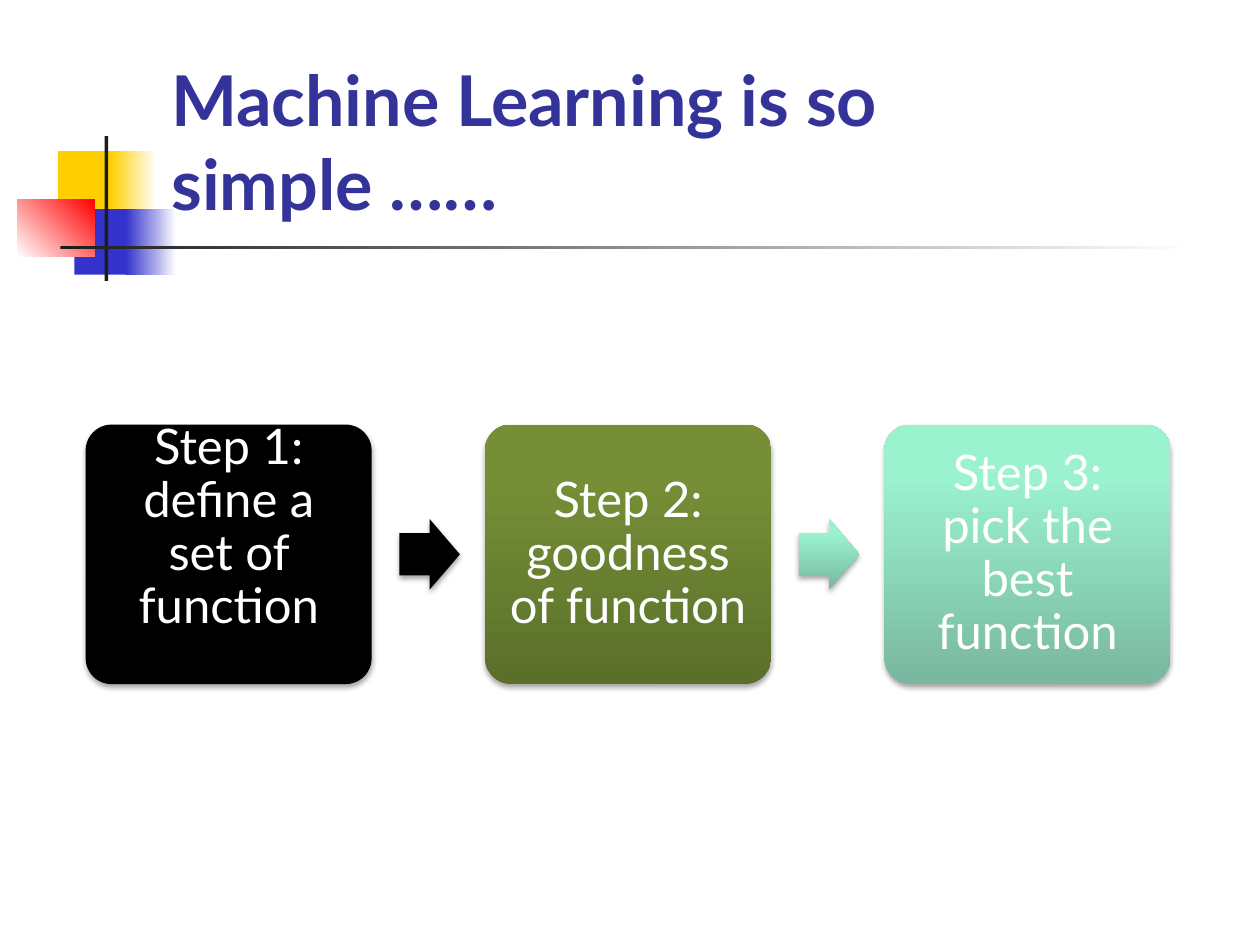
from dataclasses import dataclass

from lxml import etree
from pptx import Presentation
from pptx.dml.color import RGBColor
from pptx.enum.shapes import MSO_SHAPE
from pptx.enum.text import MSO_ANCHOR, MSO_AUTO_SIZE, PP_ALIGN
from pptx.oxml.ns import qn
from pptx.util import Inches, Pt

RECT = MSO_SHAPE.RECTANGLE
ROUND = MSO_SHAPE.ROUNDED_RECTANGLE
ARROW = MSO_SHAPE.RIGHT_ARROW
LEFT, CENTER = PP_ALIGN.LEFT, PP_ALIGN.CENTER
MIDDLE, BOTTOM = MSO_ANCHOR.MIDDLE, MSO_ANCHOR.BOTTOM
NO_FIT = MSO_AUTO_SIZE.NONE


@dataclass(frozen=True)
class Theme:
    font: str = "Lato"
    title: str = "333399"
    white: str = "FFFFFF"
    black: str = "000000"
    ink: str = "1C1C1C"
    yellow: str = "FFCF01"
    blue: str = "3333CC"
    red: str = "FF0000"
    green: tuple = ("5B6F2A", "768F36")
    mint: tuple = ("79B79F", "9AF2CF")
    head: int = 40
    body: int = 28


def write(frame, text, size, color, align, anchor, bold=False, inset=None, lead=1.0):
    frame.word_wrap = True
    frame.auto_size = NO_FIT
    frame.vertical_anchor = anchor
    if inset is not None:
        frame.margin_left = frame.margin_right = Inches(inset)
        frame.margin_top = frame.margin_bottom = Inches(inset)
    frame.text = text
    para = frame.paragraphs[0]
    para.alignment = align
    para.line_spacing = lead
    font = para.runs[0].font
    font.name = Theme.font
    font.size = Pt(size)
    font.bold = bold
    font.color.rgb = RGBColor.from_string(color)


class Deck:
    def __init__(self, slide, theme):
        self.slide = slide
        self.theme = theme

    def shape(self, kind, box, fill, angle=0, end=1, adjust=(), shade=False):
        shape = self.slide.shapes.add_shape(kind, *map(Inches, box))
        for i, value in enumerate(adjust):
            shape.adjustments[i] = value
        if isinstance(fill, str):
            shape.fill.solid()
            shape.fill.fore_color.rgb = RGBColor.from_string(fill)
        else:
            shape.fill.gradient()
            shape.fill.gradient_angle = angle
            for stop, color, place in zip(shape.fill.gradient_stops, fill, (0, end)):
                stop.color.rgb = RGBColor.from_string(color)
                stop.position = place
        shape.line.fill.background()
        shape.shadow.inherit = False
        if shade:
            self.shadow(shape)

    def shadow(self, shape):
        effects = shape._element.spPr.find(qn("a:effectLst"))
        outer = etree.SubElement(
            effects, qn("a:outerShdw"), blurRad=str(Pt(3.1)), dist=str(Pt(1.8)),
            dir="5400000", rotWithShape="0")
        color = etree.SubElement(outer, qn("a:srgbClr"), val=self.theme.black)
        etree.SubElement(color, qn("a:alpha"), val="35000")

    def title(self, text, box):
        title = self.slide.shapes.title
        title.left, title.top, title.width, title.height = map(Inches, box)
        write(title.text_frame, text, size=self.theme.head, color=self.theme.title,
              align=LEFT, anchor=BOTTOM, bold=True)
        self.slide.shapes._spTree.append(title._element)

    def label(self, text, box):
        area = self.slide.shapes.add_textbox(*map(Inches, box))
        write(area.text_frame, text, size=self.theme.body, color=self.theme.white,
              align=CENTER, anchor=MIDDLE, inset=0.12, lead=0.9)

    def motif(self):
        t = self.theme
        for box, fill, angle in (
            ((0.46, 1.2, 0.48, 0.52), t.yellow, 0),
            ((0.88, 1.2, 0.36, 0.52), (t.yellow, t.white), 0),
            ((0.59, 1.66, 0.46, 0.52), t.blue, 0),
            ((1, 1.66, 0.4, 0.52), (t.blue, t.white), 0),
            ((0.14, 1.58, 0.61, 0.46), (t.white, t.red), 45),
            ((0.83, 1.08, 0.03, 1.15), t.ink, 0),
            ((0.48, 1.95, 9, 0.03), (t.ink, t.white), 0),
        ):
            self.shape(RECT, box, fill, angle)

    def steps(self, items):
        left, top, pitch = 0.68, 3.37, 3.17
        for i, (text, fill, lift) in enumerate(items):
            x = left + i * pitch
            if i:
                tint = self.theme.black if i == 1 else fill
                self.shape(ARROW, (x - 0.68, 4.12, 0.48, 0.56), tint, 90, 0.8,
                           (0.6, 0.5), True)
            self.shape(ROUND, (x, top, 2.27, 2.06), fill, 90, 0.8, (0.1,), True)
            self.label(text, (x + 0.06, top + 0.06 - lift, 2.15, 1.94))


def main():
    show = Presentation()
    show.slide_width, show.slide_height = Inches(10), Inches(7.5)
    theme = Theme()
    deck = Deck(show.slides.add_slide(show.slide_layouts[5]), theme)
    deck.motif()
    deck.steps((
        ("Step 1: define a set of function", theme.black, 0.21),
        ("Step 2: goodness of function", theme.green, 0),
        ("Step 3: pick the best function", theme.mint, 0),
    ))
    deck.title("Machine Learning is so simple ……", (1.26, 0.23, 7.21, 1.6))
    show.save("out.pptx")


if __name__ == "__main__":
    main()
